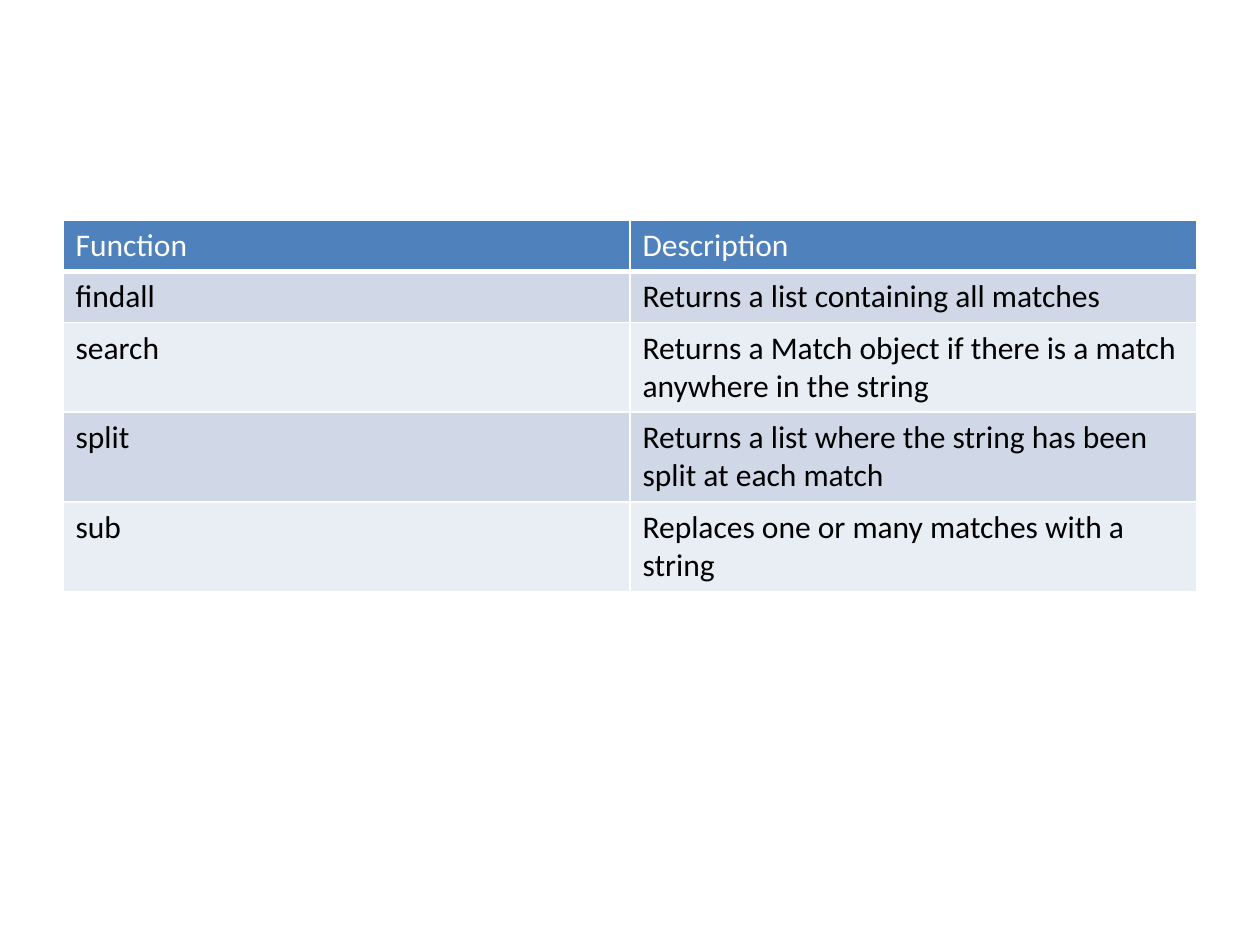
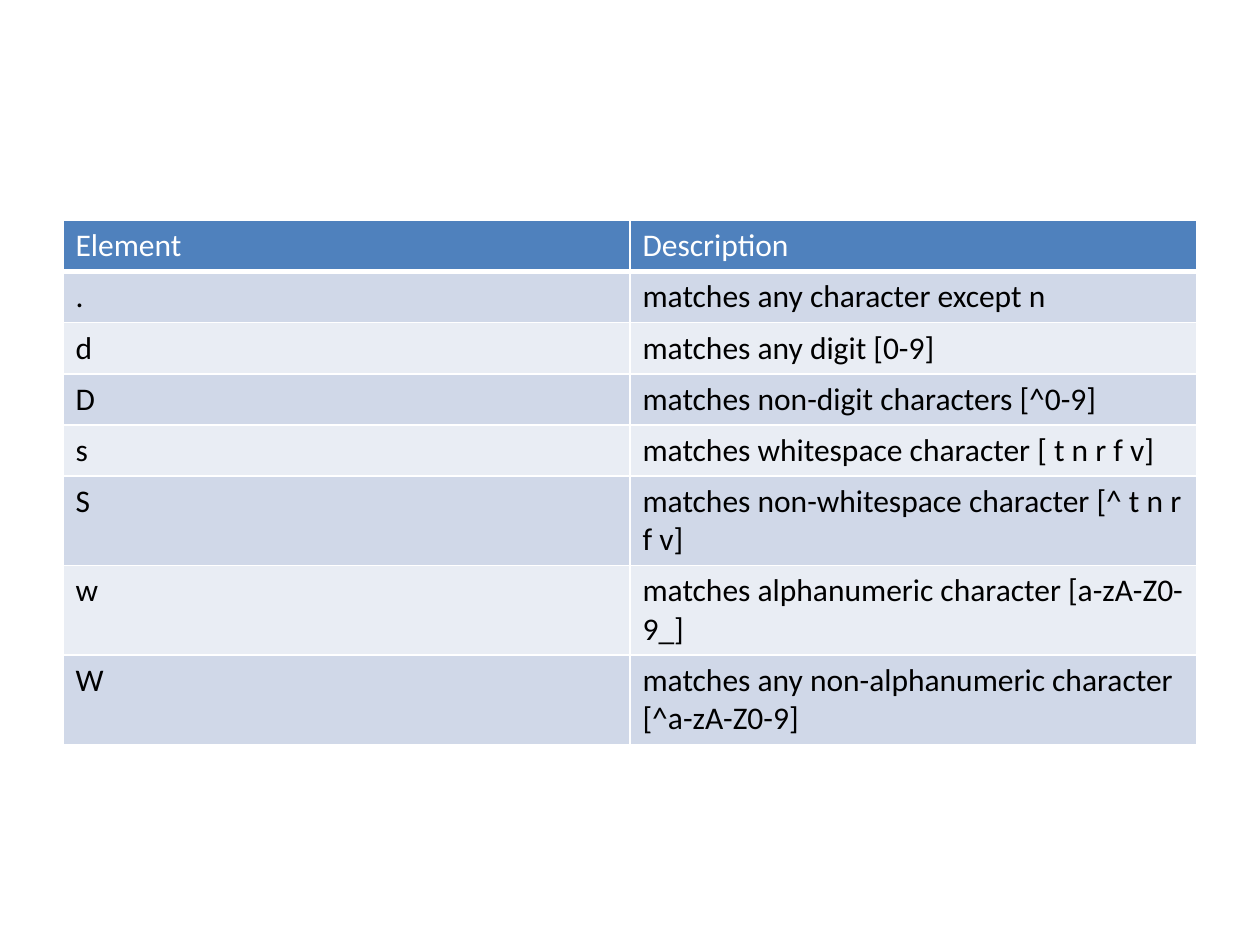
from lxml import etree
from pptx import Presentation
from pptx.dml.color import RGBColor
from pptx.oxml import ns
from pptx.util import Pt

FUNCTIONS = [
    ("Function", "Description"),
    ("findall", "Returns a list containing all matches"),
    ("search", "Returns a Match object if there is a match anywhere in the string"),
    ("split", "Returns a list where the string has been split at each match"),
    ("sub", "Replaces one or many matches with a string"),
]
ELEMENTS = [
    ("Element", "Description"),
    (".", "matches any character except n"),
    ("d", "matches any digit [0-9]"),
    ("D", "matches non-digit characters [^0-9]"),
    ("s", "matches whitespace character [ t n r f v]"),
    ("S", "matches non-whitespace character [^ t n r f v]"),
    ("w", "matches alphanumeric character [a-zA-Z0-9_]"),
    ("W", "matches any non-alphanumeric character [^a-zA-Z0-9]"),
]

WHITE = RGBColor(0xFF, 0xFF, 0xFF)
BLACK = RGBColor(0x00, 0x00, 0x00)
HEADER_BLUE = RGBColor(0x4F, 0x81, 0xBD)
BANDS = [RGBColor(0xD0, 0xD8, 0xE8), RGBColor(0xE9, 0xED, 0xF4)]

FONT = "Calibri"
SLIDE_WIDTH, SLIDE_HEIGHT = 720, 540
MARGIN = 36
TABLE_TOP, TABLE_HEIGHT = 126, 355.68
TABLE_WIDTH = SLIDE_WIDTH - 2 * MARGIN
FIT_TO_TEXT = Pt(0)
RULE, HEADER_RULE = 1, 3


def write(frame, text, size=18, color=BLACK, bold=False):
    run = frame.paragraphs[0].add_run()
    run.text = text
    run.font.name = FONT
    run.font.size = Pt(size)
    run.font.bold = bold
    run.font.color.rgb = color


def set_borders(cell, bottom):
    properties = cell._tc.get_or_add_tcPr()
    widths = {"lnL": RULE, "lnR": RULE, "lnT": RULE, "lnB": bottom}
    for position, (side, width) in enumerate(widths.items()):
        line = etree.Element(ns.qn(f"a:{side}"), w=str(Pt(width)))
        fill = etree.SubElement(line, ns.qn("a:solidFill"))
        etree.SubElement(fill, ns.qn("a:srgbClr"), val=str(WHITE))
        properties.insert(position, line)


def add_reference_slide(deck, entries):
    slide = deck.slides.add_slide(deck.slide_layouts[6])
    frame = slide.shapes.add_table(
        len(entries), len(entries[0]), Pt(MARGIN), Pt(TABLE_TOP),
        Pt(TABLE_WIDTH), Pt(TABLE_HEIGHT))
    table = frame.table
    for row, entry in enumerate(entries):
        table.rows[row].height = FIT_TO_TEXT
        is_header = row == 0
        for column, text in enumerate(entry):
            cell = table.cell(row, column)
            cell.fill.solid()
            cell.fill.fore_color.rgb = HEADER_BLUE if is_header else BANDS[(row - 1) % 2]
            write(cell.text_frame, text, color=WHITE if is_header else BLACK)
            set_borders(cell, HEADER_RULE if is_header else RULE)
    frame.height = Pt(TABLE_HEIGHT)


deck = Presentation()
deck.slide_width, deck.slide_height = Pt(SLIDE_WIDTH), Pt(SLIDE_HEIGHT)
for entries in (FUNCTIONS, ELEMENTS):
    add_reference_slide(deck, entries)
deck.save("out.pptx")
